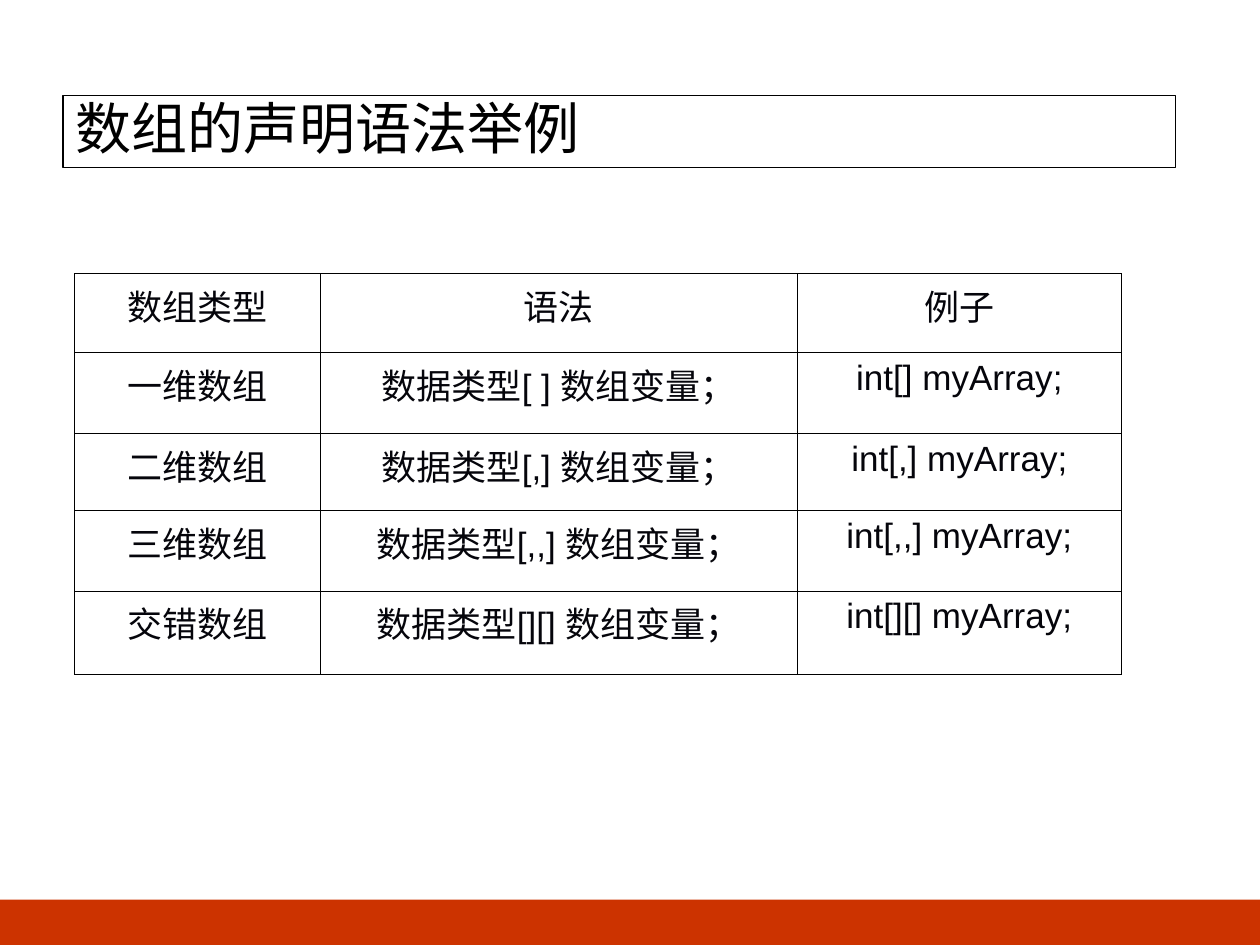
from dataclasses import dataclass

from lxml.etree import SubElement
from pptx import Presentation
from pptx.dml.color import RGBColor
from pptx.enum.shapes import MSO_SHAPE
from pptx.enum.text import MSO_ANCHOR, PP_ALIGN
from pptx.oxml.ns import qn
from pptx.util import Inches, Pt


@dataclass(frozen=True)
class Theme:
    white: RGBColor = RGBColor(0xFF, 0xFF, 0xFF)
    black: RGBColor = RGBColor(0, 0, 0)
    table_text: RGBColor = RGBColor(0x05, 0x05, 0x0B)
    footer: RGBColor = RGBColor(0xCC, 0x33, 0x00)
    latin_font: str = "Arial"
    chinese_font: str = "Noto Sans CJK SC"
    title_size: Pt = Pt(32)
    table_size: Pt = Pt(20)
    title_line: Pt = Pt(0.75)
    table_line: Pt = Pt(0.45)


class SlideBuilder:
    def __init__(self, slide, theme):
        self.slide = slide
        self.theme = theme

    def rectangle(self, left, top, width, height, fill, line_width=None):
        shape = self.slide.shapes.add_shape(
            MSO_SHAPE.RECTANGLE, Inches(left), Inches(top), Inches(width), Inches(height)
        )
        shape.shadow.inherit = False
        shape.fill.solid()
        shape.fill.fore_color.rgb = fill
        if line_width is None:
            shape.line.fill.background()
        else:
            shape.line.color.rgb = self.theme.black
            shape.line.width = line_width
        return shape

    def style_text(self, paragraph, text, size, color, latin_font, alignment):
        paragraph.text = text
        paragraph.alignment = alignment
        font = paragraph.font
        font.size = size
        font.color.rgb = color
        font.name = latin_font
        properties = paragraph._p.get_or_add_pPr().find(qn("a:defRPr"))
        SubElement(properties, qn("a:ea"), typeface=self.theme.chinese_font)

    def title(self, text, left, top, width, height):
        theme = self.theme
        shape = self.rectangle(left, top, width, height, theme.white, theme.title_line)
        frame = shape.text_frame
        frame.word_wrap = True
        frame.vertical_anchor = MSO_ANCHOR.MIDDLE
        paragraph = frame.paragraphs[0]
        self.style_text(paragraph, text, theme.title_size, theme.black,
                        theme.chinese_font, PP_ALIGN.LEFT)
        paragraph.line_spacing = 0.9

    def border(self, cell):
        properties = cell._tc.get_or_add_tcPr()
        for position, side in enumerate(("a:lnL", "a:lnR", "a:lnT", "a:lnB")):
            line = SubElement(properties, qn(side), w=str(int(self.theme.table_line)))
            properties.insert(position, line)
            fill = SubElement(line, qn("a:solidFill"))
            SubElement(fill, qn("a:srgbClr"), val=str(self.theme.black))

    def table(self, rows, left, top, column_widths, row_heights):
        theme = self.theme
        table = self.slide.shapes.add_table(
            len(rows), len(column_widths), Inches(left), Inches(top),
            Inches(sum(column_widths)), Inches(sum(row_heights)),
        ).table
        table.first_row = False
        table.horz_banding = False
        for column, width in zip(table.columns, column_widths):
            column.width = Inches(width)
        for row, height, texts in zip(table.rows, row_heights, rows):
            row.height = Inches(height)
            for cell, text in zip(row.cells, texts):
                cell.fill.background()
                self.border(cell)
                self.style_text(cell.text_frame.paragraphs[0], text, theme.table_size,
                                theme.table_text, theme.latin_font, PP_ALIGN.CENTER)


def main():
    presentation = Presentation()
    presentation.slide_width = Inches(10)
    presentation.slide_height = Inches(7.5)
    theme = Theme()
    slide = presentation.slides.add_slide(presentation.slide_layouts[6])
    builder = SlideBuilder(slide, theme)

    builder.rectangle(0, 7.14, 10, 0.36, theme.footer)
    builder.title("数组的声明语法举例", 0.5, 0.76, 8.83, 0.57)

    array_kinds = [
        ("一维数组", "[ ]", "[]"),
        ("二维数组", "[,]", "[,]"),
        ("三维数组", "[,,]", "[,,]"),
        ("交错数组", "[][]", "[][]"),
    ]
    rows = [("数组类型", "语法", "例子")]
    rows += [
        (kind, f"数据类型{syntax} 数组变量；", f"int{example} myArray;")
        for kind, syntax, example in array_kinds
    ]
    builder.table(rows, 0.59, 2.17, [1.95, 3.79, 2.57], [0.63, 0.64, 0.61, 0.64, 0.66])

    presentation.save("out.pptx")


if __name__ == "__main__":
    main()
